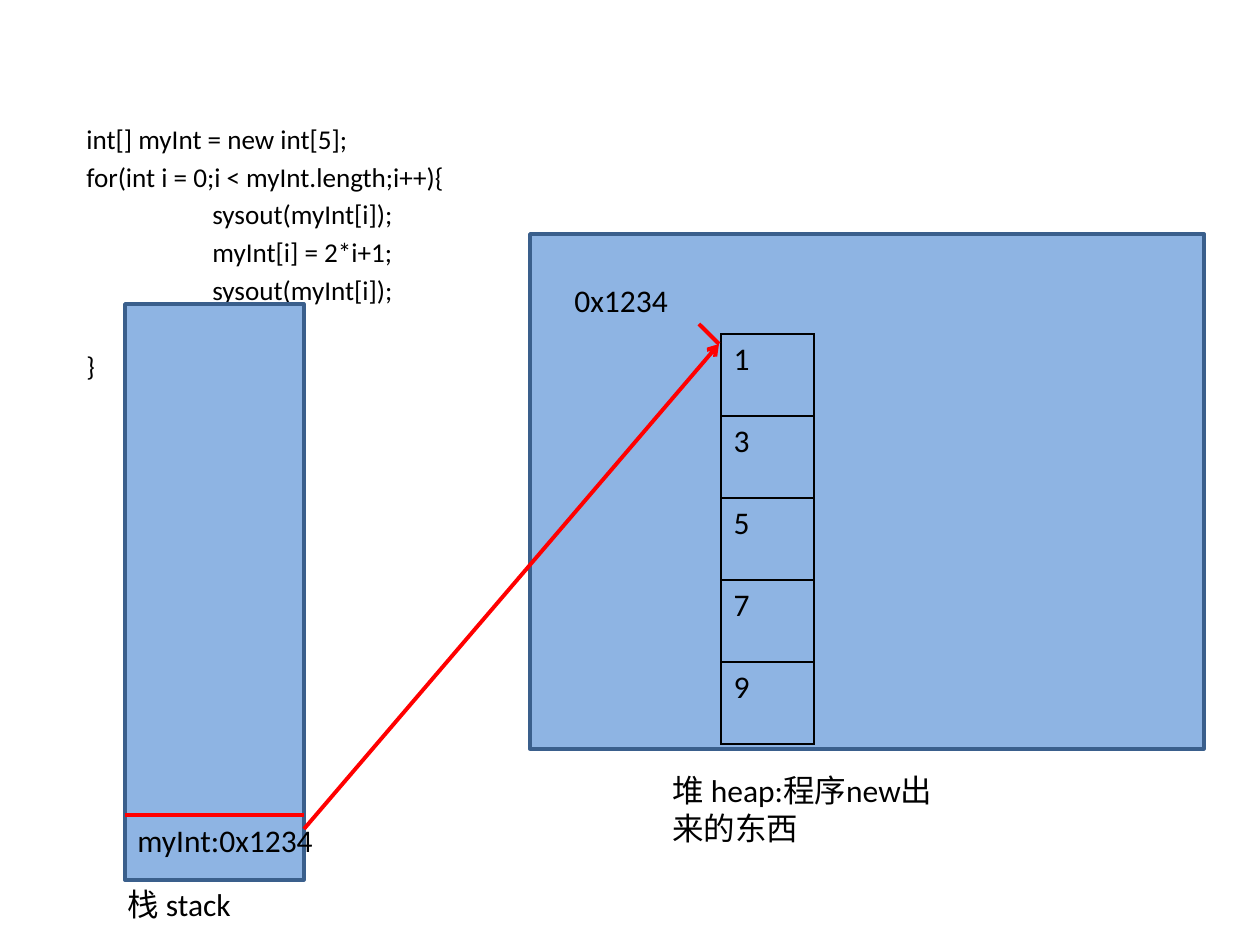
from dataclasses import dataclass

from lxml import etree
from pptx import Presentation
from pptx.dml.color import RGBColor
from pptx.enum.shapes import MSO_CONNECTOR, MSO_SHAPE
from pptx.oxml.ns import qn
from pptx.util import Pt

RECTANGLE = MSO_SHAPE.RECTANGLE
STRAIGHT = MSO_CONNECTOR.STRAIGHT
PX = 914400 / 126


@dataclass(frozen=True)
class Theme:
    font: str = "Calibri"
    text: RGBColor = RGBColor(0x00, 0x00, 0x00)
    memory: RGBColor = RGBColor(0x8E, 0xB4, 0xE3)
    outline: RGBColor = RGBColor(0x3A, 0x5F, 0x8C)
    pointer: RGBColor = RGBColor(0xFF, 0x00, 0x00)
    code_size: float = 15.5
    label_size: int = 18


theme = Theme()


def px(*lengths):
    """Turn pixel lengths into EMU."""
    return [round(length * PX) for length in lengths]


def set_text(paragraph, text, size):
    paragraph.text = text
    paragraph.font.name = theme.font
    paragraph.font.size = Pt(size)
    paragraph.font.color.rgb = theme.text


presentation = Presentation()
presentation.slide_width, presentation.slide_height = px(1260, 945)
slide = presentation.slides.add_slide(presentation.slide_layouts[6])
shapes = slide.shapes

# Code: text, indent in px, space before in points
code_lines = [
    ("int[] myInt = new int[5];", 0, 3),
    ("for(int i = 0;i < myInt.length;i++){", 0, 3),
    ("sysout(myInt[i]);", 126, 3),
    ("myInt[i] = 2*i+1;", 126, 3),
    ("sysout(myInt[i]);", 126, 3),
    ("}", 0, 25),
]
code_frame = shapes.add_textbox(*px(74, 116, 567, 248)).text_frame
code_frame.word_wrap = True
for index, (text, indent, space) in enumerate(code_lines):
    paragraph = code_frame.add_paragraph() if index else code_frame.paragraphs[0]
    set_text(paragraph, text, theme.code_size)
    paragraph.space_before = Pt(space)
    paragraph._p.get_or_add_pPr().set("marL", str(px(indent)[0]))

# Stack and heap areas
for box in [(125, 304, 179, 576), (530, 234, 674, 515)]:
    area = shapes.add_shape(RECTANGLE, *px(*box))
    area.shadow.inherit = False
    area.fill.solid()
    area.fill.fore_color.rgb = theme.memory
    area.line.color.rgb = theme.outline
    area.line.width = Pt(2)

# Array in the heap
values = [1, 3, 5, 7, 9]
row_height = 82
array = shapes.add_table(
    len(values), 1, *px(721, 334, 93, row_height * len(values))
).table
array.first_row = False
array.horz_banding = False
for row, value in enumerate(values):
    cell = array.cell(row, 0)
    set_text(cell.text_frame.paragraphs[0], str(value), theme.label_size)
    properties = cell._tc.get_or_add_tcPr()
    for side in ("lnL", "lnR", "lnT", "lnB"):
        border = etree.SubElement(properties, qn(f"a:{side}"), w=str(Pt(1)))
        fill = etree.SubElement(border, qn("a:solidFill"))
        etree.SubElement(fill, qn("a:srgbClr"), val=str(theme.text))
    cell.fill.background()

labels = [
    ("栈 stack", (115, 879, 307, 50)),
    ("堆 heap:程序new出来的东西", (660, 765, 307, 89)),
    ("myInt:0x1234", (125, 815, 208, 89)),
    ("0x1234", (562, 275, 159, 50)),
]
for text, box in labels:
    label_frame = shapes.add_textbox(*px(*box)).text_frame
    label_frame.word_wrap = True
    set_text(label_frame.paragraphs[0], text, theme.label_size)

# Stack divider, address mark and reference arrow
array_corner = (719, 344)
lines = [
    ((125, 815), (304, 815), False),
    ((699, 324), array_corner, False),
    ((304, 829), array_corner, True),
]
for start, end, has_arrow in lines:
    connector = shapes.add_connector(STRAIGHT, *px(*start, *end))
    connector.line.color.rgb = theme.pointer
    connector.line.width = Pt(2.25)
    if has_arrow:
        etree.SubElement(connector.line._get_or_add_ln(), qn("a:tailEnd"), type="arrow")
    etree.SubElement(connector._element.spPr, qn("a:effectLst"))

presentation.save("out.pptx")
